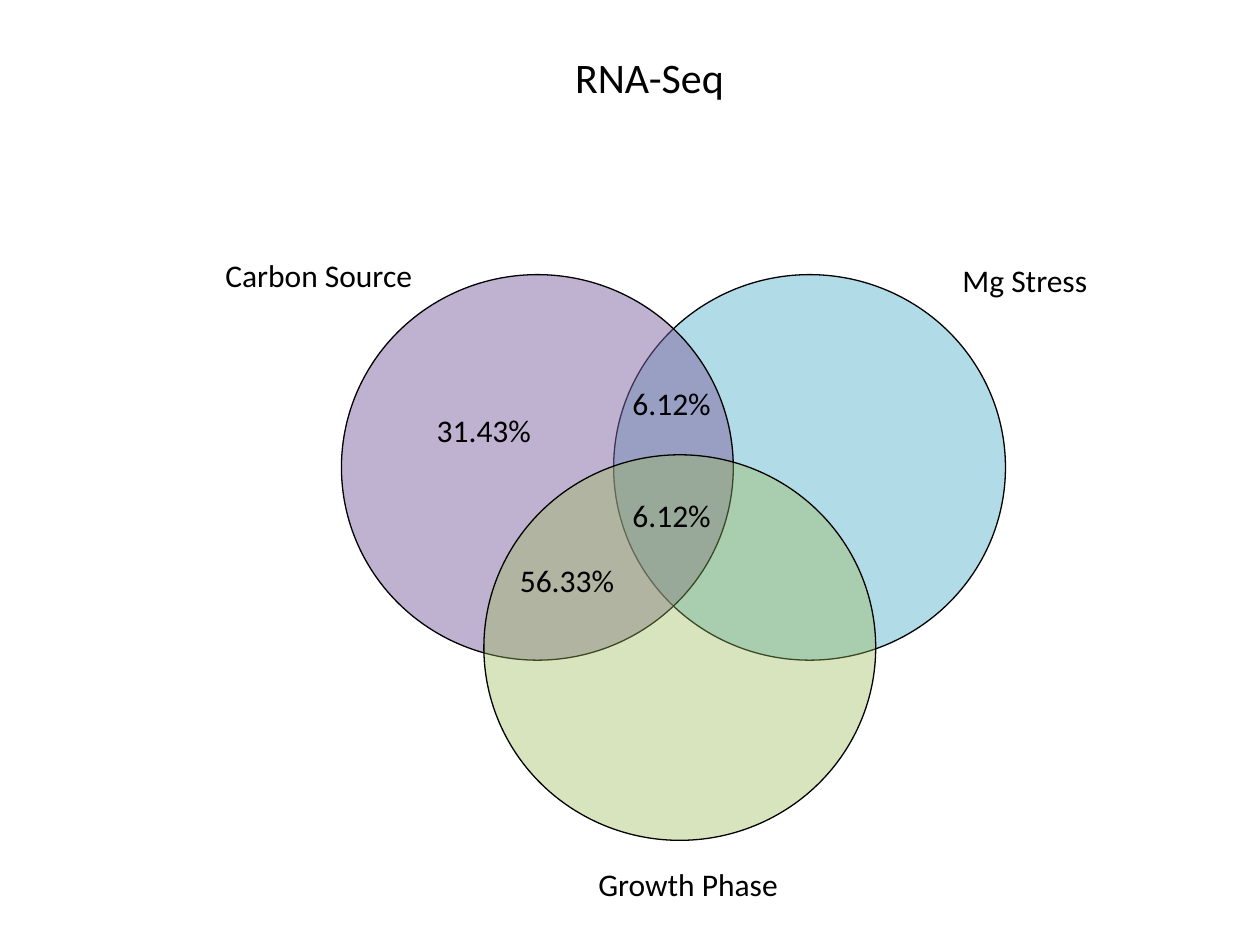
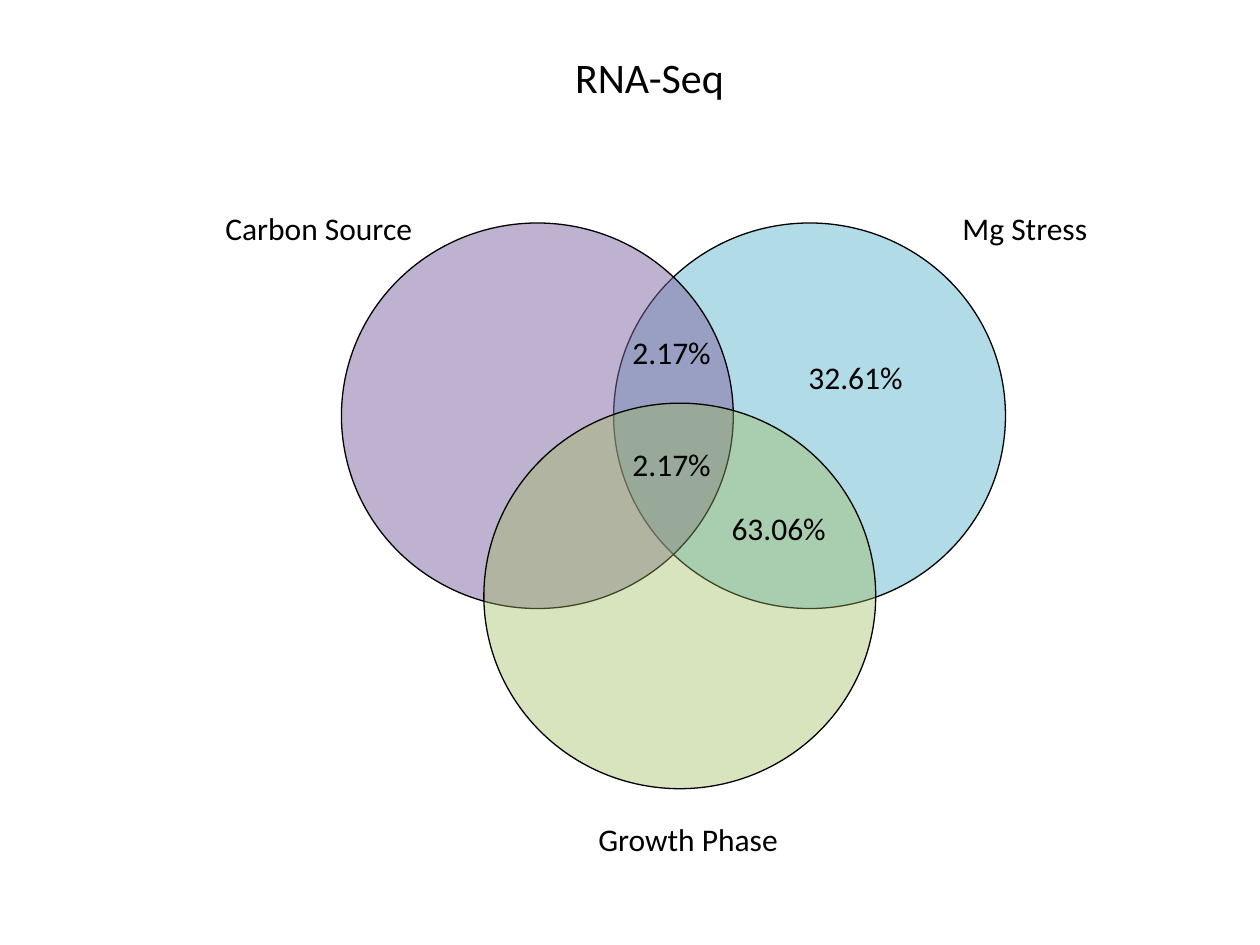
from lxml import etree
from pptx import Presentation
from pptx import util as u
from pptx.dml.color import RGBColor
from pptx.enum import shapes, text
from pptx.oxml.ns import qn

COLORS = {"mg": "4BACC6", "carbon": "8064A2", "growth": "9BBB59", "ink": "000000"}
FONT = "Calibri"
DIAMETER_X, DIAMETER_Y = 3.11, 3.06
LABEL_H, VALUE_W = 0.4, 0.98

CIRCLES = [
    ("mg", 4.87, 0, 43),
    ("carbon", 2.71, 0, 50),
    ("growth", 3.84, 1.43, 39),
]
REGIONS = {
    "carbon": (3.35, 1.03),
    "mg": (6.3, 1.02),
    "carbon+mg": (4.84, 0.82),
    "carbon+growth": (4.01, 2.22),
    "mg+growth": (5.69, 2.22),
    "all": (4.84, 1.71),
}
SLIDES = [
    {
        "top": 2.18,
        "values": {"carbon": "31.43%", "carbon+mg": "6.12%",
                   "carbon+growth": "56.33%", "all": "6.12%"},
        "label_tops": (1.98, 2.02, 6.82),
    },
    {
        "top": 1.77,
        "values": {"carbon+mg": "2.17%", "mg": "32.61%",
                   "all": "2.17%", "mg+growth": "63.06%"},
        "label_tops": (1.61, 1.61, 6.46),
    },
]
LABELS = [("Carbon Source", 1.69, 1.7), ("Mg Stress", 7.54, 1.21), ("Growth Phase", 4.65, 1.65)]


def add_text(s, words, x, y, w, h=LABEL_H, size=18, centred=True):
    tf = s.shapes.add_textbox(u.Inches(x), u.Inches(y), u.Inches(w), u.Inches(h)).text_frame
    tf.word_wrap = centred
    tf.auto_size = text.MSO_AUTO_SIZE.SHAPE_TO_FIT_TEXT
    p = tf.paragraphs[0]
    p.text = words
    p.alignment = text.PP_ALIGN.CENTER if centred else text.PP_ALIGN.LEFT
    p.font.name = FONT
    p.font.size = u.Pt(size)
    p.font.color.rgb = RGBColor.from_string(COLORS["ink"])


def add_circle(s, color, x, y, opacity):
    sp = s.shapes.add_shape(shapes.MSO_SHAPE.OVAL, u.Inches(x), u.Inches(y),
                            u.Inches(DIAMETER_X), u.Inches(DIAMETER_Y))
    sp.shadow.inherit = False
    sp.fill.solid()
    sp.fill.fore_color.rgb = RGBColor.from_string(color)
    clr = sp.fill._xPr.find(qn("a:solidFill")).find(qn("a:srgbClr"))
    etree.SubElement(clr, qn("a:alpha")).set("val", str(opacity * 1000))
    sp.line.color.rgb = RGBColor.from_string(COLORS["ink"])
    sp.line.width = u.Pt(0.75)


prs = Presentation()
prs.slide_width, prs.slide_height = u.Inches(10), u.Inches(7.5)

for venn in SLIDES:
    s = prs.slides.add_slide(prs.slide_layouts[6])
    for name, x, dy, opacity in CIRCLES:
        add_circle(s, COLORS[name], x, venn["top"] + dy, opacity)
    for region, value in venn["values"].items():
        x, dy = REGIONS[region]
        add_text(s, value, x, venn["top"] + dy, VALUE_W)
    for (label, x, w), y in zip(LABELS, venn["label_tops"]):
        add_text(s, label, x, y, w, centred=False)
    add_text(s, "RNA-Seq", 1.31, 0.36, 7.69, h=0.5, size=24)

prs.save("out.pptx")
